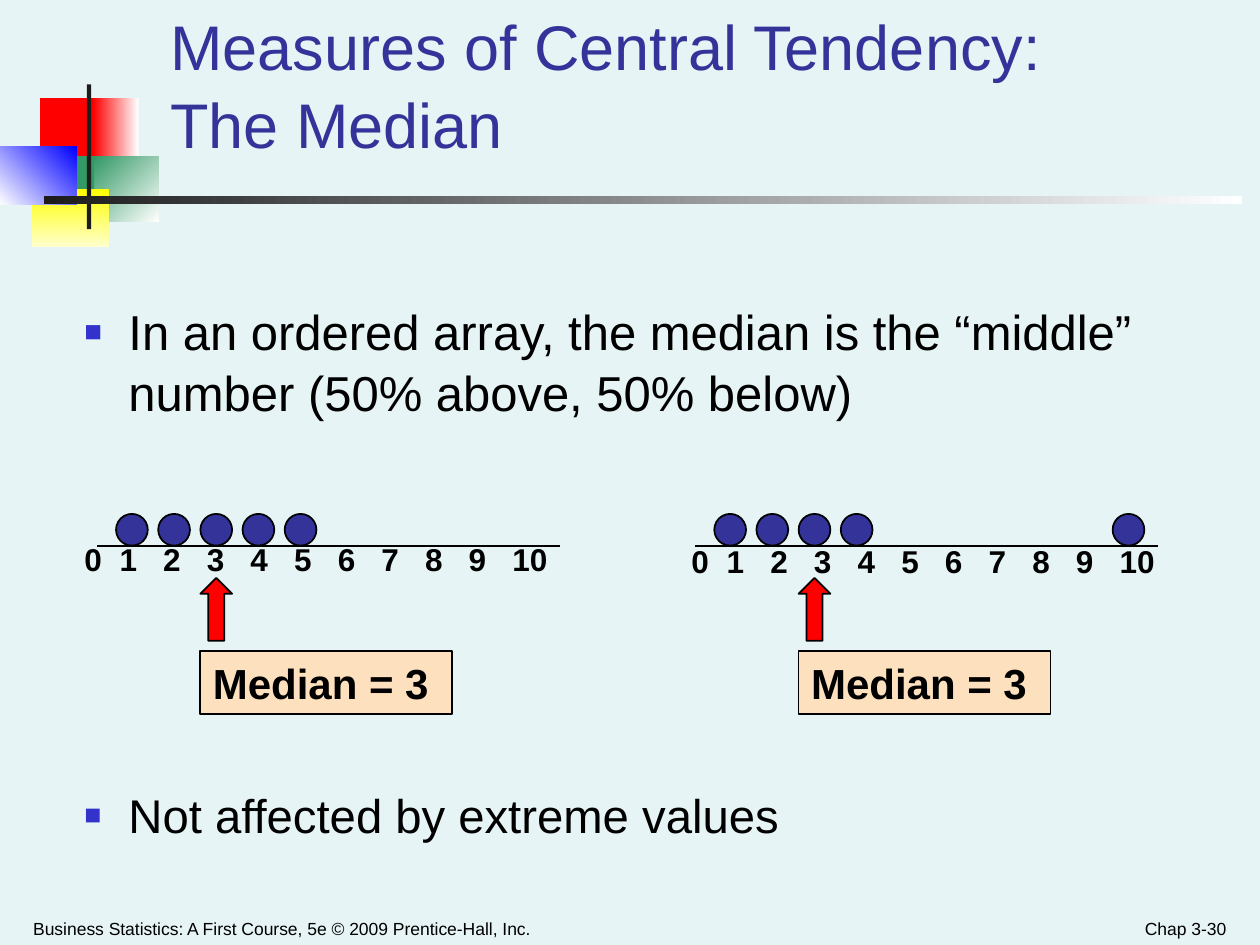
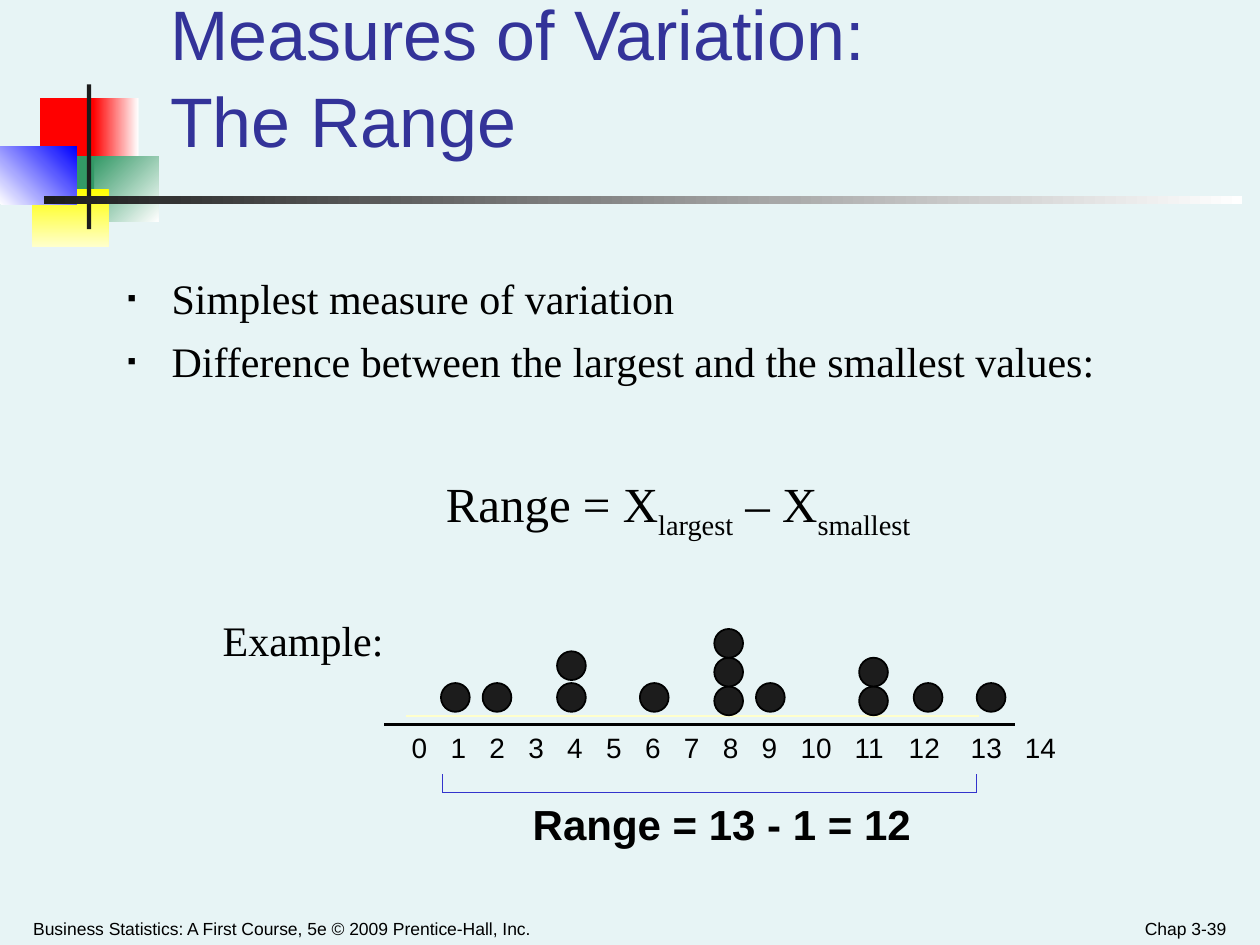
from lxml import etree
from pptx import Presentation
from pptx.dml.color import RGBColor
from pptx.enum.shapes import MSO_CONNECTOR, MSO_SHAPE
from pptx.enum.text import MSO_ANCHOR, MSO_AUTO_SIZE, PP_ALIGN
from pptx.oxml.ns import qn
from pptx.util import Cm, Pt

RECTANGLE, OVAL, UP_ARROW = MSO_SHAPE.RECTANGLE, MSO_SHAPE.OVAL, MSO_SHAPE.UP_ARROW
STRAIGHT = MSO_CONNECTOR.STRAIGHT
LEFT, CENTER, RIGHT = PP_ALIGN.LEFT, PP_ALIGN.CENTER, PP_ALIGN.RIGHT
TOP, BOTTOM = MSO_ANCHOR.TOP, MSO_ANCHOR.BOTTOM

SANS, SERIF = "Arial", "Times New Roman"
COLORS = {
    "background": "E7F4F5", "title": "333399", "text": "000000", "bullet": "3333CC",
    "red": "FF0000", "green": "339966", "yellow": "FFFF00", "cream": "FFFFCC",
    "blue": "0000FF", "white": "FFFFFF", "dark": "1C1C1C", "answer": "FDE0BD",
}
RGB = {name: RGBColor.from_string(value) for name, value in COLORS.items()}


def add_shape(slide, kind, box, color, outlined=True):
    shape = slide.shapes.add_shape(kind, *[Cm(length) for length in box])
    shape.shadow.inherit = False
    shape.fill.solid()
    shape.fill.fore_color.rgb = RGB[color]
    if outlined:
        shape.line.color.rgb = RGB["text"]
        shape.line.width = Pt(1)
    else:
        shape.line.fill.background()
    return shape


def add_text(slide, text, box, size, font=SANS, bold=False, align=LEFT, tabs=()):
    """Add a one-paragraph text box; tabs are left tab stops in centimetres."""
    text_box = slide.shapes.add_textbox(*[Cm(length) for length in box])
    text_box.text_frame.word_wrap = True
    paragraph = text_box.text_frame.paragraphs[0]
    paragraph.text = text
    paragraph.alignment = align
    if tabs:
        tab_list = etree.SubElement(paragraph._p.get_or_add_pPr(), qn("a:tabLst"))
        for position in tabs:
            etree.SubElement(tab_list, qn("a:tab"), pos=str(Cm(position)), algn="l")
    paragraph.font.size = Pt(size)
    paragraph.font.name = font
    paragraph.font.bold = bold
    paragraph.font.color.rgb = RGB["text"]
    return text_box


presentation = Presentation()
presentation.slide_width, presentation.slide_height = Cm(25.4), Cm(19.05)
background = presentation.slide_master.background.fill
background.solid()
background.fore_color.rgb = RGB["background"]
layout = presentation.slide_layouts[1]
median_slide = presentation.slides.add_slide(layout)
range_slide = presentation.slides.add_slide(layout)

# Corner decoration, moved to the layout: box, first colour, last colour, angle
decoration = [
    ((0.81, 1.98, 1.22, 1.32), "red", None, 0),
    ((1.88, 1.98, 0.91, 1.32), "red", "white", 0),
    ((1.9, 3.15, 1.3, 1.32), "green", "white", 315),
    ((1.09, 3.15, 0.81, 1.32), "green", None, 0),
    ((0.64, 3.81, 1.55, 1.17), "yellow", "cream", 270),
    ((0, 2.95, 1.55, 1.17), "white", "blue", 45),
    ((1.75, 1.7, 0.09, 2.92), "dark", None, 0),
    ((0.89, 3.96, 24.15, 0.15), "dark", "white", 0),
]
for box, first_color, last_color, angle in decoration:
    shape = add_shape(median_slide, RECTANGLE, box, first_color, outlined=False)
    if last_color:
        shape.fill.gradient()
        shape.fill.gradient_angle = angle
        for stop, color in zip(shape.fill.gradient_stops, (first_color, last_color)):
            stop.color.rgb = RGB[color]
    layout.shapes.element.append(shape.element)

# Titles, lists and footers
pages = [
    dict(slide=median_slide, number="Chap 3-30", title_size=36,
         title="Measures of Central Tendency:\vThe Median",
         body_box=(1.47, 4.45, 23.29, 13.97), body_inset=1.58,
         bullet="■", bullet_color="bullet", font=SANS,
         items=[("In an ordered array, the median is the “middle” number "
                 "(50% above, 50% below)", 28, 0),
                ("Not affected by extreme values", 27, 207)]),
    dict(slide=range_slide, number="Chap 3-39", title_size=40,
         title="Measures of Variation:\vThe Range",
         body_box=(2.34, 5.28, 22.43, 2.97), body_inset=0.18,
         bullet="▪", bullet_color="text", font=SERIF,
         items=[("Simplest measure of variation", 24, 0),
                ("Difference between the largest and the smallest values:", 24, 6)]),
]
for page in pages:
    slide = page["slide"]
    title, body = slide.placeholders
    placements = [(title, (3.2, 0.64, 20.5, 2.74), BOTTOM),
                  (body, page["body_box"], TOP)]
    for placeholder, box, anchor in placements:
        (placeholder.left, placeholder.top,
         placeholder.width, placeholder.height) = [Cm(length) for length in box]
        frame = placeholder.text_frame
        frame.auto_size = MSO_AUTO_SIZE.NONE
        frame.vertical_anchor = anchor
        frame.margin_left = frame.margin_right = Cm(0.23)
    body.text_frame.margin_top = Cm(page["body_inset"])

    title.text_frame.text = page["title"]
    paragraph = title.text_frame.paragraphs[0]
    paragraph.alignment = LEFT
    paragraph.line_spacing = 1.04
    paragraph.font.size = Pt(page["title_size"])
    paragraph.font.name = SANS
    paragraph.font.color.rgb = RGB["title"]

    body.text_frame.text = "\n".join(text for text, size, gap in page["items"])
    for paragraph, (text, size, gap) in zip(body.text_frame.paragraphs, page["items"]):
        properties = paragraph._p.get_or_add_pPr()
        properties.set("marL", str(Cm(0.89)))
        properties.set("indent", str(Cm(-0.89)))
        bullet_color = etree.SubElement(properties, qn("a:buClr"))
        etree.SubElement(bullet_color, qn("a:srgbClr"), val=COLORS[page["bullet_color"]])
        etree.SubElement(properties, qn("a:buSzPct"), val="60000")
        etree.SubElement(properties, qn("a:buFont"), typeface=SANS)
        etree.SubElement(properties, qn("a:buChar"), char=page["bullet"])
        paragraph.line_spacing = 1.04
        paragraph.space_before = Pt(gap)
        paragraph.font.size = Pt(size)
        paragraph.font.name = page["font"]
        paragraph.font.color.rgb = RGB["text"]

    footer = add_text(slide, "Business Statistics: A First Course, 5e © 2009 Prentice-Hall, Inc.",
                      (0.42, 18.16, 12.9, 0.89), 10)
    number = add_text(slide, page["number"], (19.05, 18.16, 5.92, 0.89), 10, align=RIGHT)
    for text_box in (footer, number):
        text_box.text_frame.vertical_anchor = BOTTOM

# Axes and range bracket: slide, start, end, colour, width
lines = [
    (median_slide, (1.96, 11), (11.28, 11), "text", 1),
    (median_slide, (14.02, 11), (23.34, 11), "text", 1),
    (range_slide, (8.18, 14.43), (16.79, 14.43), "cream", 1),
    (range_slide, (16.41, 14.43), (19.74, 14.43), "cream", 1),
    (range_slide, (7.75, 14.6), (20.47, 14.6), "text", 1.5),
    (range_slide, (8.92, 15.98), (19.69, 15.98), "bullet", 0.75),
    (range_slide, (8.92, 15.98), (8.92, 15.6), "bullet", 0.75),
    (range_slide, (19.69, 15.98), (19.69, 15.6), "bullet", 0.75),
]
for slide, start, end, color, width in lines:
    line = slide.shapes.add_connector(STRAIGHT, *[Cm(length) for length in start + end])
    line.line.color.rgb = RGB[color]
    line.line.width = Pt(width)
    etree.SubElement(line._element.spPr, qn("a:effectLst"))

# Two dot plots with the same median: first dot, labels left, labels top, values
median_plots = [
    (2.34, 1.45, 10.77, (1, 2, 3, 4, 5)),
    (14.4, 13.69, 10.8, (1, 2, 3, 4, 10)),
]
dot_step, label_step = 0.85, 0.88
median_labels = "\t".join(str(value) for value in range(11))
for first_dot, labels_left, labels_top, values in median_plots:
    add_text(median_slide, median_labels, (labels_left, labels_top, 11.07, 1.02), 18,
             bold=True, tabs=[0.71 + label_step * index for index in range(10)])
    for value in values:
        dot_left = first_dot + dot_step * (value - 1) + (0.38 if value == 10 else 0)
        add_shape(median_slide, OVAL, (dot_left, 10.36, 0.64, 0.64), "title")
    median_left = first_dot + 2 * dot_step
    add_shape(median_slide, UP_ARROW, (median_left, 11.65, 0.64, 1.27), "red")
    answer = add_text(median_slide, "Median = 3", (median_left, 13.13, 5.08, 1.27), 24, bold=True)
    answer.fill.solid()
    answer.fill.fore_color.rgb = RGB["answer"]
    answer.line.color.rgb = RGB["text"]
    answer.line.width = Pt(1)

# Range formula
formula = add_text(range_slide, "", (7.42, 8.89, 12.5, 4.09), 28, font=SERIF, align=CENTER)
paragraph = formula.text_frame.paragraphs[0]
paragraph.line_spacing = 1.4
for text, subscript in [("Range = X", False), ("largest", True),
                        (" – X", False), ("smallest", True)]:
    run = paragraph.add_run()
    run.text = text
    if subscript:
        run._r.get_or_add_rPr().set("baseline", "-25000")

# Range example: stacks of dots as left, lowest top, count, step upwards
dot_stacks = [
    (8.89, 13.77, 1, 0), (9.73, 13.77, 1, 0), (11.23, 13.77, 2, 0.64),
    (12.9, 13.77, 1, 0), (14.4, 13.84, 3, 0.58), (15.24, 13.77, 1, 0),
    (17.32, 13.84, 2, 0.58), (18.42, 13.77, 1, 0), (19.69, 13.77, 1, 0),
]
for left, lowest_top, count, step in dot_stacks:
    for level in range(count):
        add_shape(range_slide, OVAL, (left, lowest_top - step * level, 0.58, 0.58), "dark")

range_tabs = [7.84 * value / 10 for value in range(1, 11)] + [8.93, 10.02, 11.27, 12.36]
add_text(range_slide, "\t".join(str(value) for value in range(15)),
         (8.05, 14.6, 14.5, 0.91), 16, tabs=range_tabs)
add_text(range_slide, "Range = 13 - 1 = 12", (10.49, 15.98, 10.57, 1.27), 24, bold=True)
add_text(range_slide, "Example:", (4.24, 12.27, 4.24, 1.27), 24, font=SERIF)

presentation.save("out.pptx")
